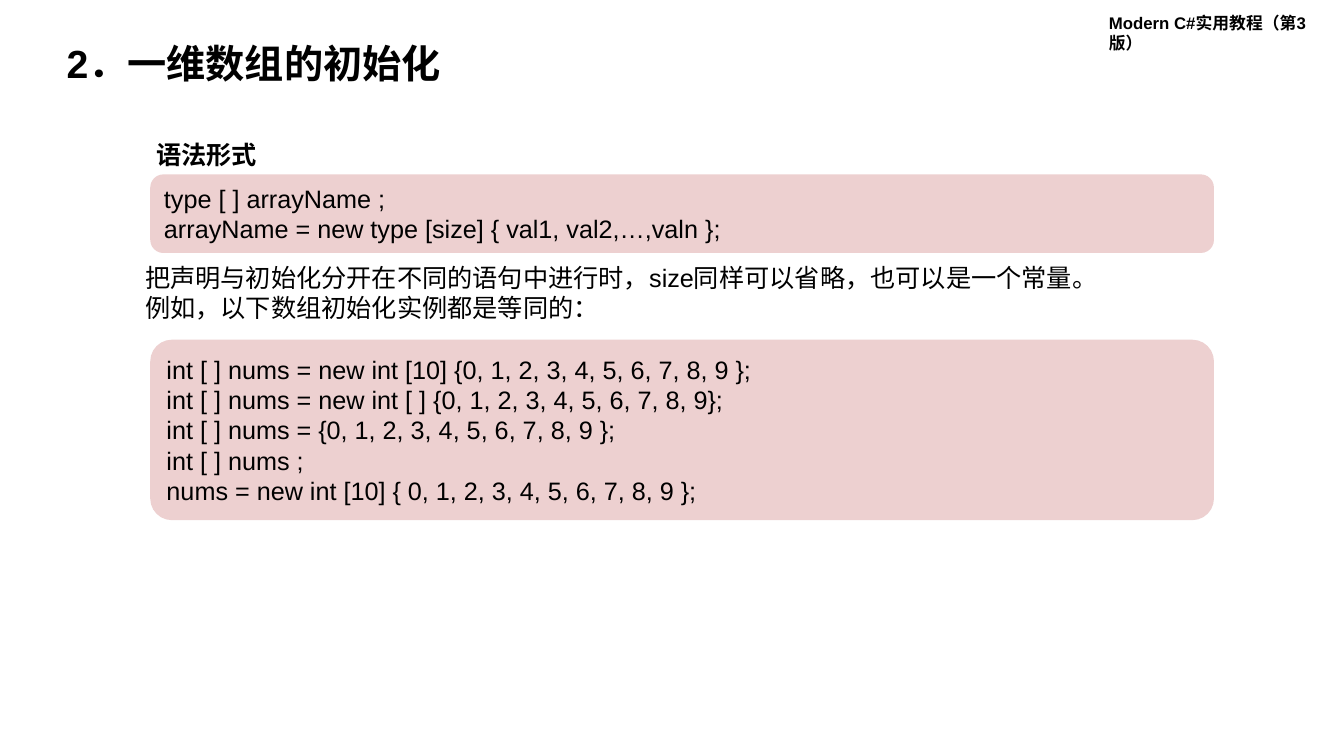
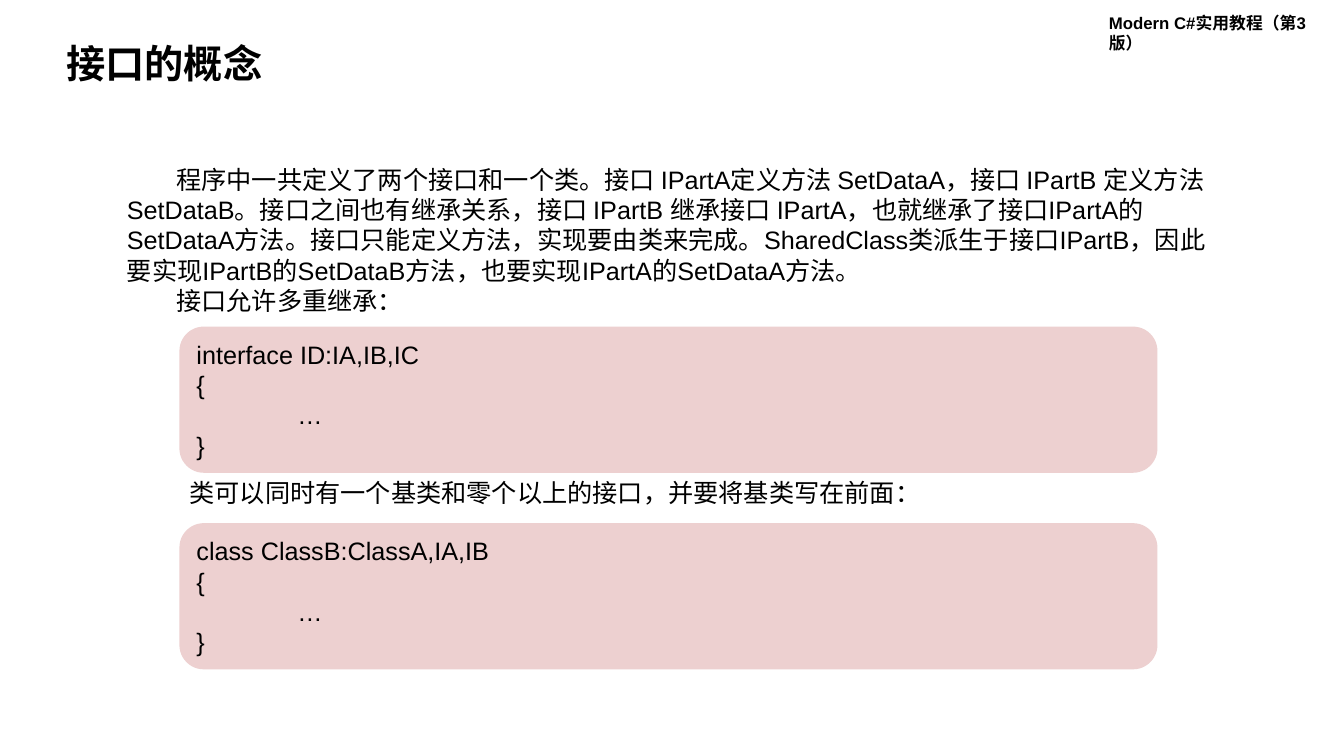
from dataclasses import dataclass

from lxml.etree import SubElement
from pptx import Presentation
from pptx.dml.color import RGBColor
from pptx.enum.shapes import MSO_SHAPE
from pptx.enum.text import MSO_ANCHOR, PP_ALIGN
from pptx.oxml.ns import qn
from pptx.util import Emu, Pt


@dataclass(frozen=True)
class Theme:
    font: str = "Arial"
    ink: RGBColor = RGBColor(0x00, 0x00, 0x00)
    panel: RGBColor = RGBColor(0xED, 0xD0, 0xD0)
    title_size: int = 28
    body_size: int = 18
    header_size: int = 12


THEME = Theme()
PX = 9144  # EMU in one px, 100 px to the inch
SLIDE_SIZE = (1333, 750)
TITLE_BOX = (56, 39, 459, 52)
HEADER_BOX = (1090, 8, 244, 30)
TAB_STOP = 100

# Content: boxes are left, top, width, height in px
HEADER = "Modern C#实用教程（第3版）"
SLIDES = [
    {
        "title": "2．一维数组的初始化",
        "parts": [
            {"kind": "note", "box": (145, 133, 160, 40), "bold": True,
             "lines": ["语法形式"]},
            {"kind": "code", "box": (149, 173, 1055, 78), "lines": [
                "type [ ] arrayName ;",
                "arrayName = new type [size] { val1, val2,…,valn };",
            ]},
            {"kind": "note", "box": (134, 255, 1055, 71), "lines": [
                "把声明与初始化分开在不同的语句中进行时，size同样可以省略，也可以是一个常量。",
                "例如，以下数组初始化实例都是等同的：",
            ]},
            {"kind": "code", "box": (149, 337, 1055, 179), "corner": 0.12, "lines": [
                "int [ ] nums = new int [10] {0, 1, 2, 3, 4, 5, 6, 7, 8, 9 };",
                "int [ ] nums = new int [ ] {0, 1, 2, 3, 4, 5, 6, 7, 8, 9};",
                "int [ ] nums = {0, 1, 2, 3, 4, 5, 6, 7, 8, 9 };",
                "int [ ] nums ;",
                "nums = new int [10] { 0, 1, 2, 3, 4, 5, 6, 7, 8, 9 };",
            ]},
        ],
    },
    {
        "title": "接口的概念",
        "parts": [
            {"kind": "note", "box": (116, 158, 1106, 162), "indent": 49, "lines": [
                "程序中一共定义了两个接口和一个类。接口 IPartA定义方法 SetDataA，"
                "接口 IPartB 定义方法 SetDataB。接口之间也有继承关系，"
                "接口 IPartB 继承接口 IPartA，也就继承了接口IPartA的SetDataA方法。"
                "接口只能定义方法，实现要由类来完成。SharedClass类派生于接口IPartB，"
                "因此要实现IPartB的SetDataB方法，也要实现IPartA的SetDataA方法。",
                "接口允许多重继承：",
            ]},
            {"kind": "code", "box": (178, 324, 970, 145),
             "lines": ["interface ID:IA,IB,IC", "{", "\t…", "}"]},
            {"kind": "note", "box": (178, 469, 852, 40),
             "lines": ["类可以同时有一个基类和零个以上的接口，并要将基类写在前面："]},
            {"kind": "code", "box": (178, 519, 970, 145),
             "lines": ["class ClassB:ClassA,IA,IB", "{", "\t…", "}"]},
        ],
    },
]


def to_emu(box):
    return [Emu(length * PX) for length in box]


def write_text(shape, lines, size=THEME.body_size, bold=False, indent=0,
               line_spacing=None, anchor=MSO_ANCHOR.TOP):
    frame = shape.text_frame
    frame.word_wrap = True
    frame.vertical_anchor = anchor
    for number, line in enumerate(lines):
        paragraph = frame.add_paragraph() if number else frame.paragraphs[0]
        properties = paragraph._p.get_or_add_pPr()
        if indent:
            properties.set("indent", str(indent * PX))
        if "\t" in line:
            tabs = SubElement(properties, qn("a:tabLst"))
            SubElement(tabs, qn("a:tab"), pos=str(TAB_STOP * PX), algn="l")
        paragraph.alignment = PP_ALIGN.LEFT
        if line_spacing:
            paragraph.line_spacing = line_spacing
        run = paragraph.add_run()
        run.text = line
        run._r.get_or_add_rPr().set("lang", "zh-CN")
        run.font.name = THEME.font
        run.font.size = Pt(size)
        run.font.bold = bold
        run.font.color.rgb = THEME.ink


def add_note(slide, box, lines, **text_format):
    write_text(slide.shapes.add_textbox(*to_emu(box)), lines, **text_format)


def add_code(slide, box, lines, corner=None):
    panel = slide.shapes.add_shape(MSO_SHAPE.ROUNDED_RECTANGLE, *to_emu(box))
    panel.shadow.inherit = False
    panel.fill.solid()
    panel.fill.fore_color.rgb = THEME.panel
    panel.line.fill.background()
    if corner:
        panel.adjustments[0] = corner
    write_text(panel, lines, anchor=MSO_ANCHOR.MIDDLE)


def prepare_layout(presentation):
    """Place the title that all slides share."""
    layout = presentation.slide_layouts.get_by_name("Title Only")
    title = layout.placeholders[0]
    title.left, title.top, title.width, title.height = to_emu(TITLE_BOX)
    return layout


def add_header(slide, layout):
    header = slide.shapes.add_textbox(*to_emu(HEADER_BOX))
    write_text(header, [HEADER], size=THEME.header_size, bold=True)
    layout.shapes._spTree.append(header._element)  # moves it to the layout


def main():
    presentation = Presentation()
    presentation.slide_width, presentation.slide_height = to_emu(SLIDE_SIZE)
    layout = prepare_layout(presentation)
    builders = {"note": add_note, "code": add_code}

    for number, content in enumerate(SLIDES):
        slide = presentation.slides.add_slide(layout)
        if number == 0:
            add_header(slide, layout)
        write_text(slide.shapes.title, [content["title"]], size=THEME.title_size,
                   bold=True, line_spacing=0.9, anchor=MSO_ANCHOR.MIDDLE)
        for part in content["parts"]:
            options = {key: value for key, value in part.items() if key != "kind"}
            builders[part["kind"]](slide, **options)

    presentation.save("out.pptx")


if __name__ == "__main__":
    main()
